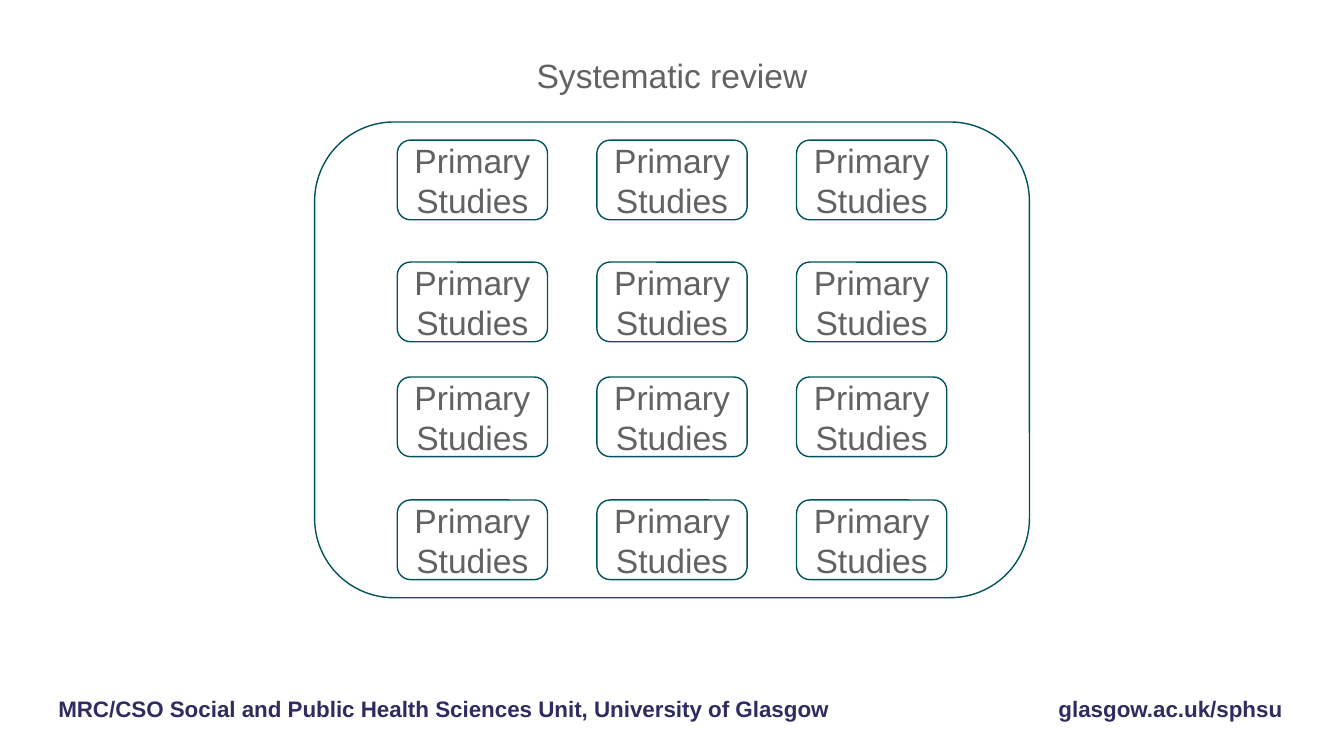
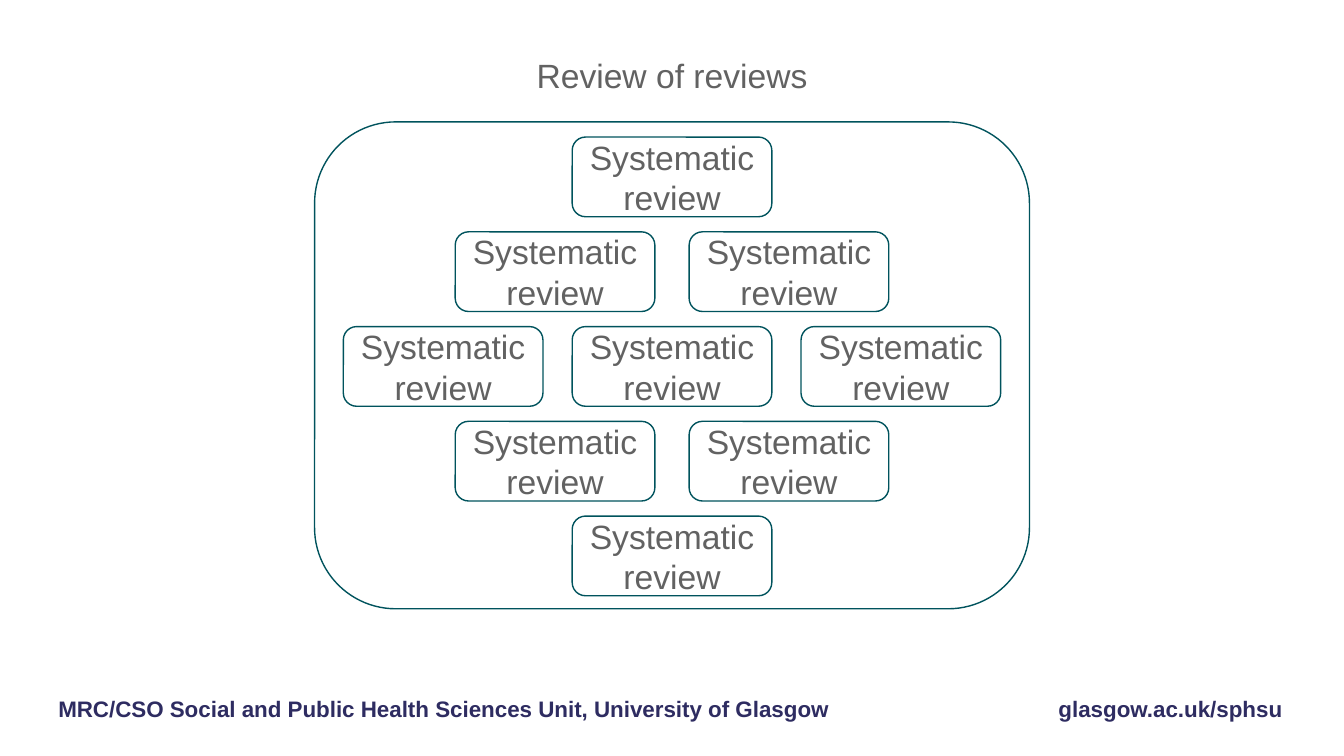
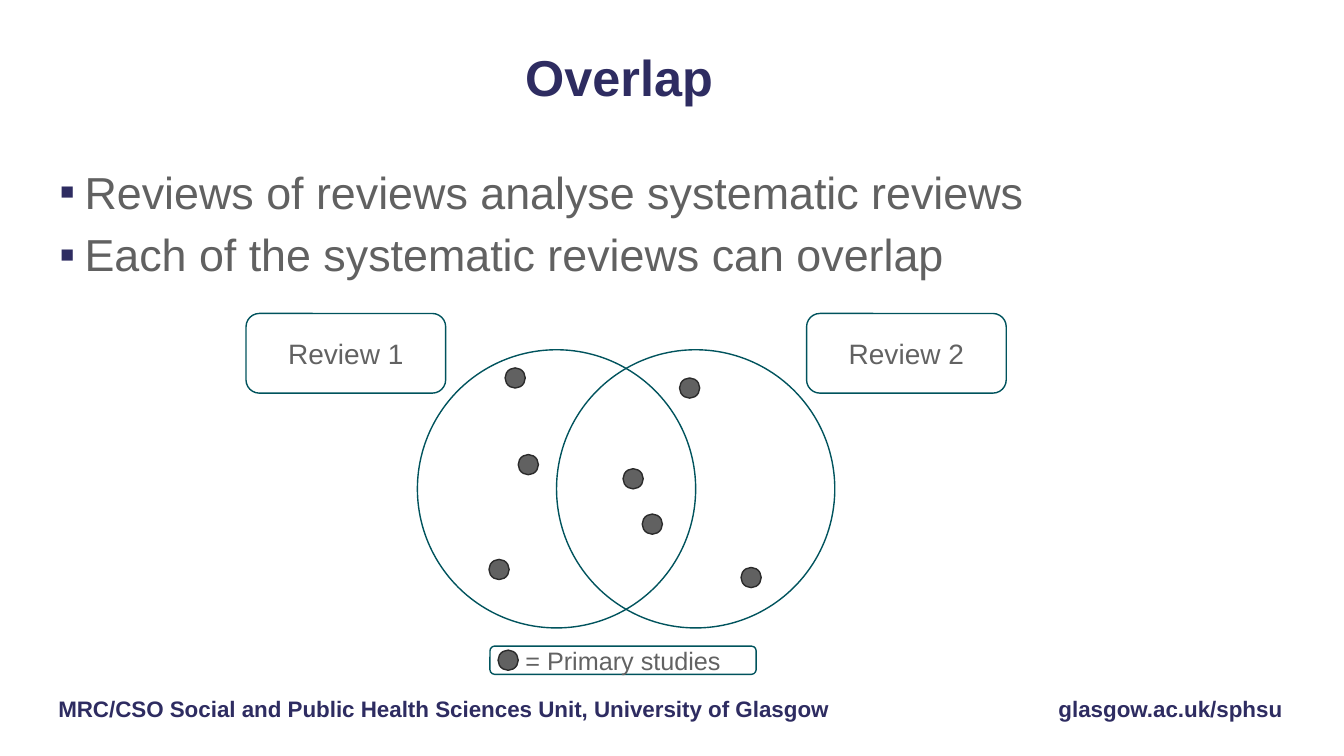
from lxml import etree
from pptx import Presentation
from pptx.dml.color import RGBColor
from pptx.enum.shapes import MSO_SHAPE
from pptx.enum.text import MSO_ANCHOR, MSO_AUTO_SIZE, PP_ALIGN
from pptx.oxml.ns import qn
from pptx.util import Inches, Pt

ROUNDED, OVAL = MSO_SHAPE.ROUNDED_RECTANGLE, MSO_SHAPE.OVAL
LEFT, CENTER = PP_ALIGN.LEFT, PP_ALIGN.CENTER
TOP, MIDDLE = MSO_ANCHOR.TOP, MSO_ANCHOR.MIDDLE
FIXED = MSO_AUTO_SIZE.NONE

NAVY, TEAL, GREY, DOT_GREY, DOT_EDGE = "2E2C61", "00535D", "626262", "616161", "2B2B2B"
FONT = "Arial"
SLIDE_W, SLIDE_H = 13.33, 7.5
TITLE_ONLY = 5
CARD_H = 0.79
REVIEW_W = 1.98
DOT = 0.2

FOOTERS = [
    ("MRC/CSO Social and Public Health Sciences Unit, University of Glasgow", (0.48, 6.85, 8.43, 0.37)),
    ("glasgow.ac.uk/sphsu", (10.4, 6.85, 2.8, 0.37)),
]
FOOTER_STYLE = {"size": Pt(16), "bold": True}
CAPTION_BOX = (5.15, 0.47, 3.03, 0.55)


def rgb(value):
    return RGBColor.from_string(value)


def apply(target, values):
    for name, value in values.items():
        setattr(target, name, value)


def place(shape, box):
    apply(shape, dict(zip(("left", "top", "width", "height"), map(Inches, box))))


def write(shape, lines, color, font, align=LEFT, anchor=TOP):
    frame = shape.text_frame
    apply(frame, {"word_wrap": True, "auto_size": FIXED, "vertical_anchor": anchor})
    frame.text = "\n".join(lines)
    for paragraph in frame.paragraphs:
        paragraph.alignment = align
        for run in paragraph.runs:
            apply(run.font, {"name": FONT, "bold": False, **font})
            run.font.color.rgb = rgb(color)
    return frame.paragraphs


def outline(shapes, kind, box, label="", size=24, fill=None, edge=TEAL):
    shape = shapes.add_shape(kind, *map(Inches, box))
    shape.shadow.inherit = False
    if fill:
        shape.fill.solid()
        shape.fill.fore_color.rgb = rgb(fill)
    else:
        shape.fill.background()
    shape.line.color.rgb = rgb(edge)
    shape.line.width = Pt(1)
    if label:
        write(shape, [label], GREY, {"size": Pt(size)}, CENTER, MIDDLE)


def start_slide(deck, title, box, color, font):
    slide = deck.slides.add_slide(deck.slide_layouts[TITLE_ONLY])
    place(slide.shapes.title, box)
    paragraphs = write(slide.shapes.title, [title], color, font, CENTER, MIDDLE)
    for text, footer_box in FOOTERS:
        footer = slide.shapes.add_textbox(*map(Inches, footer_box))
        write(footer, [text], NAVY, FOOTER_STYLE)
    return slide, paragraphs[0]


def review_slide(deck, caption, frame_box, card_label, card_w, rows):
    slide, _ = start_slide(deck, caption, CAPTION_BOX, GREY, {"size": Pt(24)})
    outline(slide.shapes, ROUNDED, frame_box)
    left, top, width, _ = frame_box
    for offset, count, pitch in rows:
        first = left + (width - card_w - (count - 1) * pitch) / 2
        for column in range(count):
            card_box = (first + column * pitch, top + offset, card_w, CARD_H)
            outline(slide.shapes, ROUNDED, card_box, card_label)


def bullet_list(slide, box, lines, spacings):
    body = slide.shapes.add_textbox(*map(Inches, box))
    paragraphs = write(body, lines, DOT_GREY, {"size": Pt(32)})
    for paragraph, spacing in zip(paragraphs, spacings):
        apply(paragraph, {"line_spacing": spacing, "space_before": Pt(10)})
        properties = paragraph._p.get_or_add_pPr()
        properties.set("marL", str(Inches(0.25)))
        properties.set("indent", str(-Inches(0.25)))
        bullet_color = etree.SubElement(properties, qn("a:buClr"))
        etree.SubElement(bullet_color, qn("a:srgbClr"), val=NAVY)
        etree.SubElement(properties, qn("a:buFont"), typeface=FONT)
        etree.SubElement(properties, qn("a:buChar"), char="▪")


def overlap_diagram(slide, left, top):
    shapes = slide.shapes.add_group_shape().shapes
    diameter = 2.76
    for circle_x in (1.7, 1.7 + diameter / 2):
        outline(shapes, OVAL, (left + circle_x, top + 0.36, diameter, diameter))
    for label, label_x in (("Review 1", 0), ("Review 2", 5.56)):
        outline(shapes, ROUNDED, (left + label_x, top, REVIEW_W, CARD_H), label, 20)
    outline(shapes, ROUNDED, (left + 2.42, top + 3.3, 2.64, 0.28), "= Primary studies", 18)
    first_only = [(2.57, 0.54), (2.7, 1.4), (2.41, 2.44)]
    shared = [(3.74, 1.54), (3.93, 1.99)]
    second_only = [(4.3, 0.64), (4.91, 2.52)]
    legend = [(2.5, 3.34)]
    for x, y in first_only + shared + second_only + legend:
        outline(shapes, OVAL, (left + x, top + y, DOT, DOT), fill=DOT_GREY, edge=DOT_EDGE)


def overlap_slide(deck):
    slide, title = start_slide(deck, "Overlap ", (0.46, 0.4, 11.5, 0.79), NAVY,
                               {"size": Pt(36), "bold": True})
    title.line_spacing = 0.9
    bullet_list(slide, (0.49, 1.37, 11.5, 1.56),
                ["Reviews of reviews analyse systematic reviews",
                 "Each of the systematic reviews can overlap"], (1.4, 0.9))
    overlap_diagram(slide, 2.44, 3.11)


def main():
    deck = Presentation()
    apply(deck, {"slide_width": Inches(SLIDE_W), "slide_height": Inches(SLIDE_H)})
    study_rows = [(offset, 3, 1.98) for offset in (0.18, 1.39, 2.53, 3.75)]
    review_slide(deck, "Systematic review", (3.12, 1.21, 7.09, 4.72),
                 "Primary Studies", 1.49, study_rows)
    pitches = {1: 0, 2: 2.32, 3: 2.27}
    diamond_rows = [(0.15 + row * 0.94, count, pitches[count])
                    for row, count in enumerate((1, 2, 3, 2, 1))]
    review_slide(deck, "Review of reviews", (3.12, 1.21, 7.09, 4.83),
                 "Systematic review", REVIEW_W, diamond_rows)
    overlap_slide(deck)
    deck.save("out.pptx")


if __name__ == "__main__":
    main()
